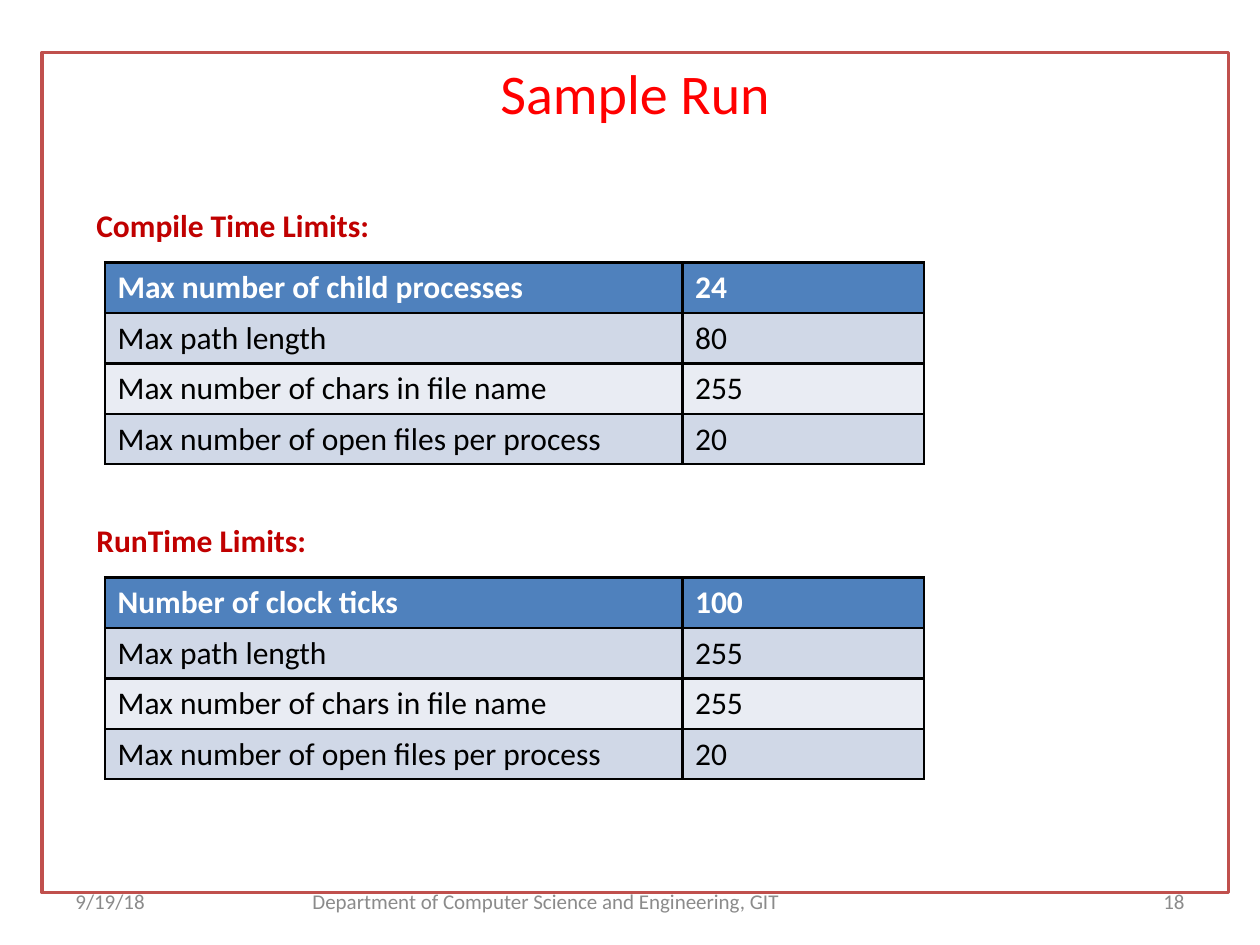
from lxml import etree
from pptx import Presentation
from pptx.dml.color import RGBColor
from pptx.enum.shapes import MSO_SHAPE
from pptx.enum.text import MSO_ANCHOR, PP_ALIGN
from pptx.oxml import parse_xml
from pptx.util import Pt

NS = "http://schemas.openxmlformats.org/drawingml/2006/main"


def color(value):
    return RGBColor.from_string(value)


def write(tf, text, size, hex_color, bold=False, align=PP_ALIGN.LEFT):
    p = tf.paragraphs[0]
    p.alignment = align
    r = p.add_run()
    r.text = text
    r.font.color.rgb = color(hex_color)
    for name, value in {"name": "Calibri", "size": Pt(size), "bold": bold}.items():
        setattr(r.font, name, value)
    return p


prs = Presentation()
prs.slide_width, prs.slide_height = Pt(720), Pt(540)
s = prs.slides.add_slide(prs.slide_layouts[6])

sp = s.shapes.add_shape(MSO_SHAPE.RECTANGLE, Pt(24), Pt(30), Pt(678), Pt(480))
sp.shadow.inherit = False
sp.fill.background()
sp.line.color.rgb = color("C0504D")
sp.line.width = Pt(2)
tf = sp.text_frame
tf.vertical_anchor = MSO_ANCHOR.TOP
p = write(tf, "Sample Run", 32, "FF0000", align=PP_ALIGN.CENTER)
p.space_before = Pt(6.4)

sections = [
    (114, "Compile Time Limits:", [
        ("Max number of child processes", "24"),
        ("Max path length", "80"),
        ("Max number of chars in file name", "255"),
        ("Max number of open files per process", "20"),
    ]),
    (294, "RunTime Limits:", [
        ("Number of clock ticks", "100"),
        ("Max path length", "255"),
        ("Max number of chars in file name", "255"),
        ("Max number of open files per process", "20"),
    ]),
]
row_fills = ["4F81BD", "D0D8E7", "E9ECF3", "D0D8E7"]

for top, heading, rows in sections:
    tf = s.shapes.add_textbox(Pt(48), Pt(top), Pt(606), Pt(29)).text_frame
    tf.word_wrap = True
    write(tf, heading, 18, "C00000", bold=True)

    table = s.shapes.add_table(4, 2, Pt(60), Pt(top + 36), Pt(468), Pt(115.2)).table
    for col, width in zip(table.columns, (330, 138)):
        col.width = Pt(width)
    for i, row in enumerate(rows):
        table.rows[i].height = Pt(28.8)
        for j, text in enumerate(row):
            cell = table.cell(i, j)
            write(cell.text_frame, text, 18, "000000" if i else "FFFFFF", bold=i == 0)
            cell.fill.solid()
            cell.fill.fore_color.rgb = color(row_fills[i])
            tc_pr = cell._tc.get_or_add_tcPr()
            for k, side in enumerate(("lnL", "lnR", "lnT", "lnB")):
                tc_pr.insert(k, parse_xml(
                    f'<a:{side} xmlns:a="{NS}" w="{Pt(1.47)}"><a:solidFill>'
                    f'<a:srgbClr val="000000"/></a:solidFill></a:{side}>'))

footers = [
    (36, 168, "9/19/18", PP_ALIGN.LEFT),
    (150, 324, "Department of Computer Science and Engineering, GIT", PP_ALIGN.CENTER),
    (516, 168, "18", PP_ALIGN.RIGHT),
]
for left, width, text, align in footers:
    tf = s.shapes.add_textbox(Pt(left), Pt(500.5), Pt(width), Pt(28.75)).text_frame
    tf.word_wrap = True
    tf.vertical_anchor = MSO_ANCHOR.MIDDLE
    write(tf, text, 12, "8B8B8B", align=align)

prs.save("out.pptx")
